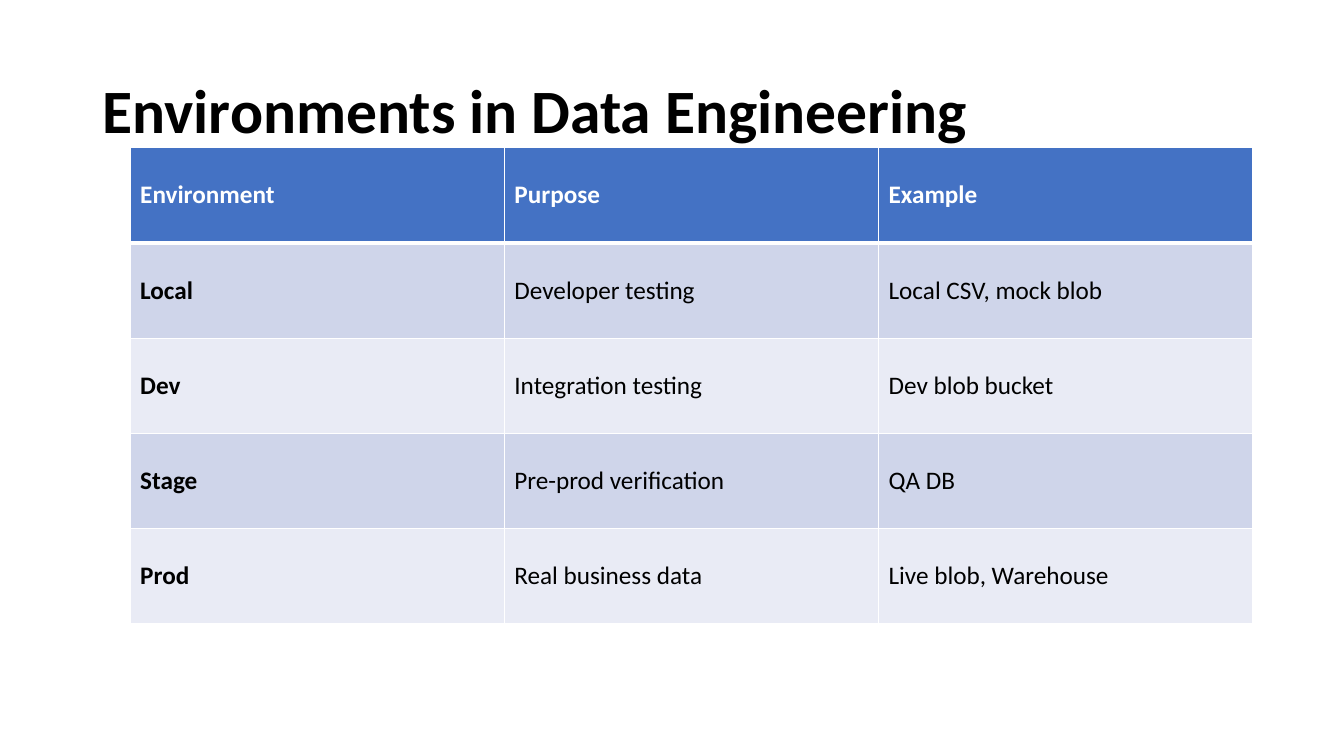
from lxml import etree
from pptx import Presentation
from pptx import util as u
from pptx.dml.color import RGBColor
from pptx.enum import text
from pptx.oxml.ns import qn

WHITE = RGBColor(0xFF, 0xFF, 0xFF)
BLACK = RGBColor(0x00, 0x00, 0x00)
BLUE = RGBColor(0x44, 0x72, 0xC4)
BANDS = [RGBColor(0xE9, 0xEB, 0xF5), RGBColor(0xCF, 0xD5, 0xEA)]

ROWS = [
    ("Environment", "Purpose", "Example"),
    ("Local", "Developer testing", "Local CSV, mock blob"),
    ("Dev", "Integration testing", "Dev blob bucket"),
    ("Stage", "Pre-prod verification", "QA DB"),
    ("Prod", "Real business data", "Live blob, Warehouse"),
]


def style_font(font, size, color, bold):
    font.name = "Calibri"
    font.size = u.Pt(size)
    font.color.rgb = color
    font.bold = bold


def add_border(cell, side, points):
    ln = etree.SubElement(cell._tc.get_or_add_tcPr(), qn("a:ln" + side), w=str(u.Pt(points)))
    fill = etree.SubElement(ln, qn("a:solidFill"))
    etree.SubElement(fill, qn("a:srgbClr"), val=str(WHITE))


prs = Presentation()
prs.slide_width, prs.slide_height = u.Cm(33.87), u.Cm(19.05)
s = prs.slides.add_slide(prs.slide_layouts[5])

# Title
title = s.shapes.title
title.left, title.top, title.width, title.height = u.Cm(2.33), u.Cm(1.01), u.Cm(29.21), u.Cm(3.68)
tf = title.text_frame
tf.text = "Environments in Data Engineering"
tf.word_wrap = True
tf.vertical_anchor = text.MSO_ANCHOR.MIDDLE
p = tf.paragraphs[0]
p.alignment = text.PP_ALIGN.LEFT
p.line_spacing = 0.9
style_font(p.runs[0].font, 44, BLACK, True)

# Environment table
table = s.shapes.add_table(len(ROWS), len(ROWS[0]), u.Cm(3.28), u.Cm(3.72),
                           u.Cm(28.29), u.Cm(12)).table
for i, row in enumerate(ROWS):
    header = i == 0
    for j, label in enumerate(row):
        cell = table.cell(i, j)
        cell.text = label
        cell.vertical_anchor = text.MSO_ANCHOR.MIDDLE
        style_font(cell.text_frame.paragraphs[0].runs[0].font, 18,
                   WHITE if header else BLACK, header or j == 0)
        # The rule under the header is thicker
        for side in "LRTB":
            thick = (i, side) in ((0, "B"), (1, "T"))
            add_border(cell, side, 3 if thick else 1)
        cell.fill.solid()
        cell.fill.fore_color.rgb = BLUE if header else BANDS[i % 2]

prs.save("out.pptx")
